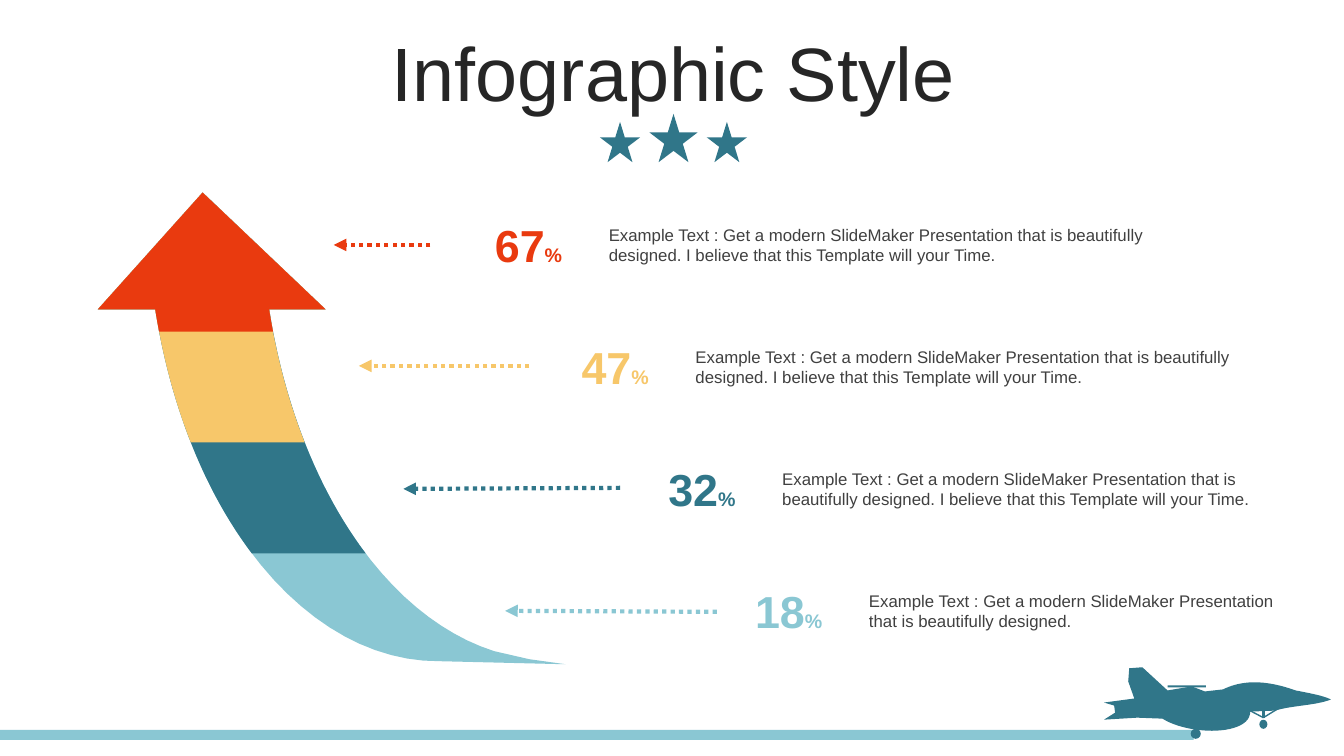
from dataclasses import dataclass

from lxml import etree
from pptx import Presentation
from pptx import util as u
from pptx.dml.color import RGBColor
from pptx.enum import dml, shapes, text
from pptx.oxml.ns import qn

PX = 9144  # EMU in one px: 100 px to the inch


@dataclass(frozen=True)
class Theme:
    font: str = "Arial"
    red: str = "E93A0F"
    gold: str = "F7C76A"
    teal: str = "307689"
    aqua: str = "8AC7D3"
    ink: str = "262626"
    body: str = "404040"
    head: int = 54
    big: int = 32
    unit: int = 14
    small: int = 12


T = Theme()
KIND = shapes.MSO_SHAPE
LONG = ("Example Text : Get a modern SlideMaker Presentation that is beautifully "
        "designed. I believe that this Template will your Time.")
SHORT = LONG.split(" I believe")[0]

# colour, value, text, text width, pointer start and end
ROWS = [
    (T.red, "67", LONG, 567, (427, 243), (331, 243)),
    (T.gold, "47", LONG, 567, (525, 363), (356, 363)),
    (T.teal, "32", LONG, 493, (615, 484), (400, 485)),
    (T.aqua, "18", SHORT, 449, (711, 607), (501, 606)),
]

# Curved arrow: each side of the stem is one cubic curve, top to bottom
HEAD = [(267, 307), (323, 307), (201, 191), (97, 307), (154, 307)]
LEFT = [(154, 307), (187, 516), (306, 657), (436, 656)]
RIGHT = [(267, 307), (294, 479), (381, 611), (490, 646)]
TAIL = [(561, 659), (525, 654)]
CUT, BAND = 329, 110  # foot of the red band, height of each band below it

# Jet, clockwise from the tail: straight edges, and curves of four points
FIN = [(1125, 693), (1119, 676), (1120, 663), (1133, 662), (1158, 685)]
SPINE = [(1182, 681), (1195, 686)]
CANOPY = [(1213, 684), (1235, 673), (1260, 676), (1285, 685)]
NOSE = [(1285, 685), (1300, 688), (1312, 690), (1320, 694)]
CHIN = [(1320, 694), (1305, 700), (1280, 700), (1265, 705)]
TANK = [(1240, 706), (1240, 730), (1180, 730), (1153, 713)]
PLANE = [(1128, 712), (1095, 714), (1106, 707), (1105, 700), (1095, 697)]


def rgb(code):
    return RGBColor.from_string(code)


def paint(shape, color):
    shape.fill.solid()
    shape.fill.fore_color.rgb = rgb(color)
    shape.line.fill.background()
    shape.shadow.inherit = False


def preset(slide, kind, box, color):
    paint(slide.shapes.add_shape(kind, *(v * PX for v in box)), color)


def outline(slide, points, color):
    pts = [(round(x * PX), round(y * PX)) for x, y in points]
    pen = slide.shapes.build_freeform(*pts[0])
    pen.add_line_segments(pts[1:], close=True)
    paint(pen.convert_to_shape(), color)


def write(frame, runs, wrap=True, align=text.PP_ALIGN.LEFT, gap=1.0, bold=False):
    """Fill one paragraph from (words, size, colour) runs."""
    frame.word_wrap = wrap
    frame.auto_size = text.MSO_AUTO_SIZE.NONE
    frame.vertical_anchor = text.MSO_ANCHOR.MIDDLE
    para = frame.paragraphs[0]
    para.alignment = align
    para.line_spacing = gap
    for words, size, color in runs:
        run = para.add_run()
        run.text = words
        font = run.font
        font.name, font.size, font.bold = T.font, u.Pt(size), bold
        font.color.rgb = rgb(color)


def label(slide, box, runs, **style):
    write(slide.shapes.add_textbox(*(v * PX for v in box)).text_frame, runs, **style)


def rule(slide, start, end, color, width):
    link = slide.shapes.add_connector(
        shapes.MSO_CONNECTOR.STRAIGHT, *(v * PX for v in start + end))
    link.line.color.rgb = rgb(color)
    link.line.width = u.Pt(width)
    etree.SubElement(link._element.spPr, qn("a:effectLst"))
    return link


def pointer(slide, start, end, color):
    line = rule(slide, start, end, color, 3).line
    line.dash_style = dml.MSO_LINE.ROUND_DOT
    etree.SubElement(line._get_or_add_ln(), qn("a:tailEnd"), type="triangle")


def bezier(ctrl, t):
    s = 1 - t
    parts = (s ** 3, 3 * s * s * t, 3 * s * t * t, t ** 3)
    return tuple(sum(k * p[axis] for k, p in zip(parts, ctrl)) for axis in (0, 1))


def curve(ctrl, end=1, steps=24):
    return [bezier(ctrl, end * i / steps) for i in range(steps + 1)]


def reach(ctrl, depth):
    """Halve the range until the curve is met at this depth."""
    low, high = 0, 1
    for _ in range(30):
        mid = (low + high) / 2
        if bezier(ctrl, mid)[1] < depth:
            low = mid
        else:
            high = mid
    return low


def stem(slide):
    """Stack the arrow from its full length up to its head."""
    outline(slide, HEAD + curve(LEFT) + TAIL + curve(RIGHT)[::-1], T.aqua)
    for i, color in enumerate((T.teal, T.gold, T.red)):
        depth = CUT + BAND * (2 - i)
        left, right = (curve(c, reach(c, depth)) for c in (LEFT, RIGHT))
        outline(slide, HEAD + left + right[::-1], color)


def jet(slide, color):
    body = FIN + SPINE
    for edge in (CANOPY, NOSE, CHIN, TANK):
        body += curve(edge)
    outline(slide, body + PLANE, color)
    # Wing edge, then main and nose wheels
    preset(slide, KIND.RECTANGLE, (1158, 680, 38, 2), color)
    preset(slide, KIND.OVAL, (1181, 723, 10, 10), color)
    preset(slide, KIND.OVAL, (1249, 714, 8, 9), color)
    # Nose gear: two braces and a leg meet above the wheel
    hub = (1253, 712)
    for top, width in (((1236, 703), 1), ((1253, 700), 2), ((1266, 704), 1)):
        rule(slide, top, hub, color, width)


def stars(slide):
    """A large star between two small ones, all on one foot line."""
    mid, foot = 668, 161
    for step, size in ((-1, 40), (0, 48), (1, 40)):
        box = (mid + 53 * step - size // 2, foot - size, size, size)
        preset(slide, KIND.STAR_5_POINT, box, T.teal)


def main():
    deck = Presentation()
    deck.slide_width, deck.slide_height = 1333 * PX, 750 * PX
    slide = deck.slides.add_slide(deck.slide_layouts[5])

    # Title
    title = slide.shapes.title
    title.left, title.top, title.width, title.height = (
        v * PX for v in (35, 37, 1266, 79))
    write(title.text_frame, [("Infographic Style", T.head, T.ink)],
          align=text.PP_ALIGN.CENTER, gap=0.9)

    # Stars, runway and jet
    stars(slide)
    preset(slide, KIND.RECTANGLE, (0, 724, 1184, 10), T.aqua)
    jet(slide, T.teal)

    # Arrow
    stem(slide)

    # Rows step down and to the right
    for i, (color, value, words, width, start, end) in enumerate(ROWS):
        x, y = 481 + i * 345 // 4, 211 + i * 121
        pointer(slide, start, end, color)
        label(slide, (x, y, 87, 64),
              [(value, T.big, color), ("%", T.unit, color)], wrap=False, bold=True)
        label(slide, (x + 113, y + 7, width, 50), [(words, T.small, T.body)])

    deck.save("out.pptx")


if __name__ == "__main__":
    main()
